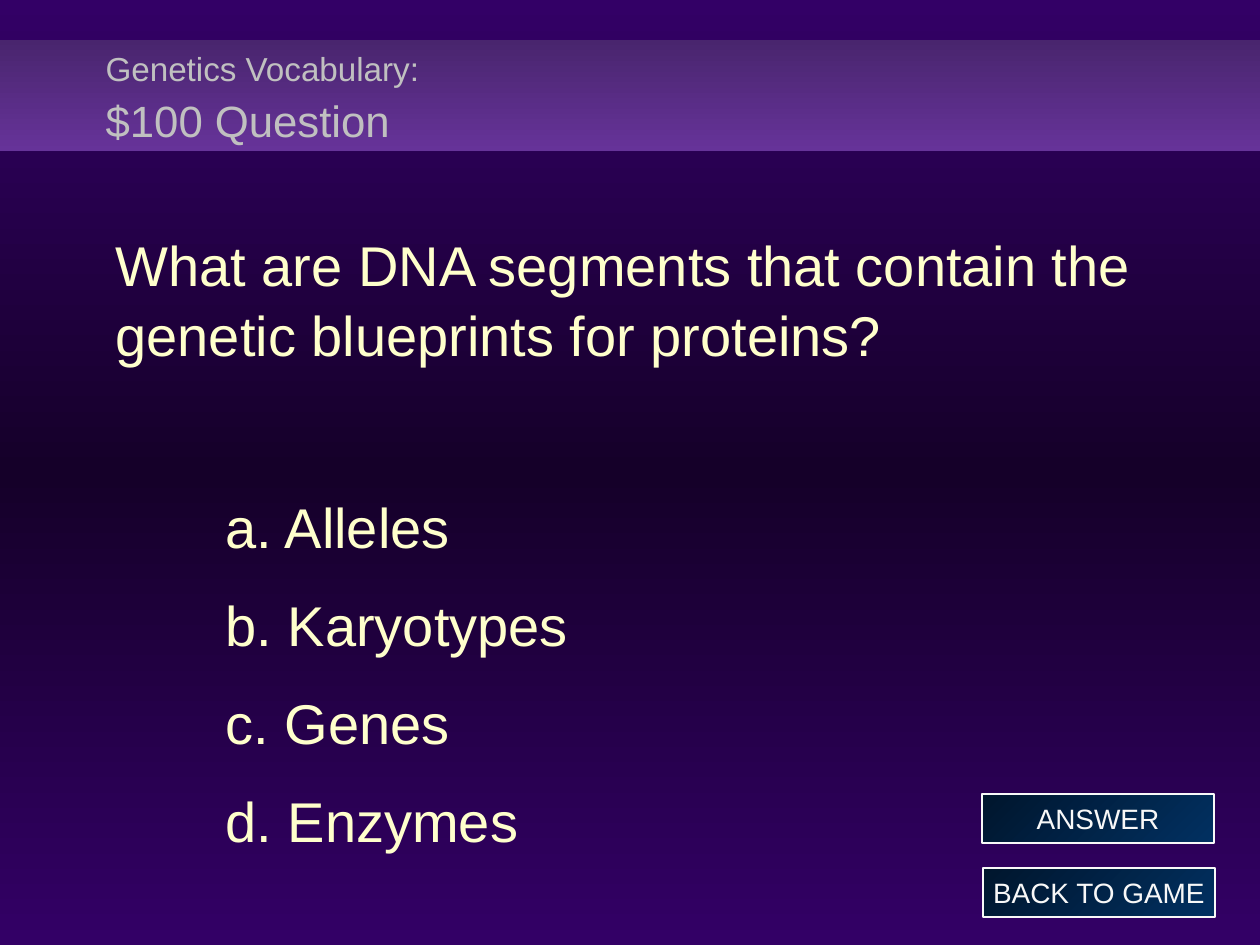
from copy import deepcopy

from pptx import Presentation
from pptx.dml.color import RGBColor
from pptx.enum.shapes import MSO_SHAPE
from pptx.enum.text import MSO_ANCHOR, MSO_AUTO_SIZE, PP_ALIGN
from pptx.oxml.ns import qn
from pptx.oxml.xmlchemy import OxmlElement
from pptx.util import Pt

PIXEL = 914400 / 126
FONT = "Arial"
TITLE_COLOR, BODY_COLOR, BUTTON_COLOR = "C0C0C0", "FFFFCC", "F8F8F8"
CHOICES = ["a. Alleles", "b. Karyotypes", "c. Genes", "d. Enzymes"]


def px(length):
    return round(length * PIXEL)


def color(hex_string):
    return RGBColor.from_string(hex_string)


def set_gradient(fill, element, colors, angle):
    """Spread the colours evenly; the angle runs counter-clockwise."""
    fill.gradient()
    fill.gradient_angle = angle
    stop_list = next(element.iter(qn("a:gsLst")))
    while len(stop_list) < len(colors):
        stop_list.append(deepcopy(stop_list[-1]))
    for index, (stop, value) in enumerate(zip(fill.gradient_stops, colors)):
        stop.position = index / (len(colors) - 1)
        stop.color.rgb = color(value)


def format_run(run, size, value):
    run.font.name = FONT
    run.font.size = Pt(size)
    run.font.color.rgb = color(value)


def place(shape, left, top, width, height):
    shape.left, shape.top = px(left), px(top)
    shape.width, shape.height = px(width), px(height)
    frame = shape.text_frame
    frame.auto_size = MSO_AUTO_SIZE.NONE
    frame.word_wrap = True
    frame.vertical_anchor = MSO_ANCHOR.MIDDLE
    return frame


def add_gradient_box(slide, bounds, colors, angle):
    box = slide.shapes.add_shape(MSO_SHAPE.RECTANGLE, *map(px, bounds))
    box.shadow.inherit = False
    set_gradient(box.fill, box.element, colors, angle)
    box.line.fill.background()
    return box


def add_button(slide, left, top, label):
    button = add_gradient_box(slide, (left, top, 232, 49), ["013061", "00162D"], 135)
    button.line.color.rgb = color(BUTTON_COLOR)
    button.line.width = Pt(0.75)
    frame = button.text_frame
    frame.text = label
    frame.word_wrap = False
    frame.vertical_anchor = MSO_ANCHOR.MIDDLE
    para = frame.paragraphs[0]
    para.alignment = PP_ALIGN.CENTER
    format_run(para.runs[0], 16, BUTTON_COLOR)


def fill_title(title):
    frame = place(title, 93, 39, 1144, 112)
    frame.text = "Genetics Vocabulary:\v$100 Question"
    para = frame.paragraphs[0]
    para.alignment = PP_ALIGN.LEFT
    para.line_spacing = 1.1
    for run, size in zip(para.runs, (19, 25)):
        format_run(run, size, TITLE_COLOR)


def format_body_paragraph(para, text, before, margin=0, indent=0):
    para.text = text
    properties = para._p.get_or_add_pPr()
    properties.set("marL", str(px(margin)))
    properties.set("indent", str(px(indent)))
    properties.append(OxmlElement("a:buNone"))
    para.line_spacing = 1.04
    para.space_before = Pt(before)
    para.space_after = Pt(8)
    format_run(para.runs[0], 32, BODY_COLOR)


def fill_body(body):
    frame = place(body, 103, 180, 1089, 721)
    question = "What are DNA segments that contain the genetic blueprints for proteins?"
    format_body_paragraph(frame.paragraphs[0], question, 0)
    for index, choice in enumerate(CHOICES):
        para = frame.add_paragraph()
        para.level = 1
        # The first choice stands well below the question
        format_body_paragraph(para, choice, 8 if index else 62, 174, -64)


def main():
    deck = Presentation()
    deck.slide_width, deck.slide_height = px(1260), px(945)
    slide = deck.slides.add_slide(deck.slide_layouts[1])

    # Background and title band
    set_gradient(slide.background.fill, slide.element, ["330066", "150029", "330066"], 270)
    band = add_gradient_box(slide, (0, 40, 1260, 111), ["49256E", "663399"], 270)
    slide.shapes.title._element.addprevious(band._element)

    # Question and choices
    fill_title(slide.shapes.title)
    fill_body(slide.placeholders[1])

    # Navigation buttons
    add_button(slide, 983, 868, "BACK TO GAME")
    add_button(slide, 982, 794, "ANSWER")

    deck.save("out.pptx")


if __name__ == "__main__":
    main()
